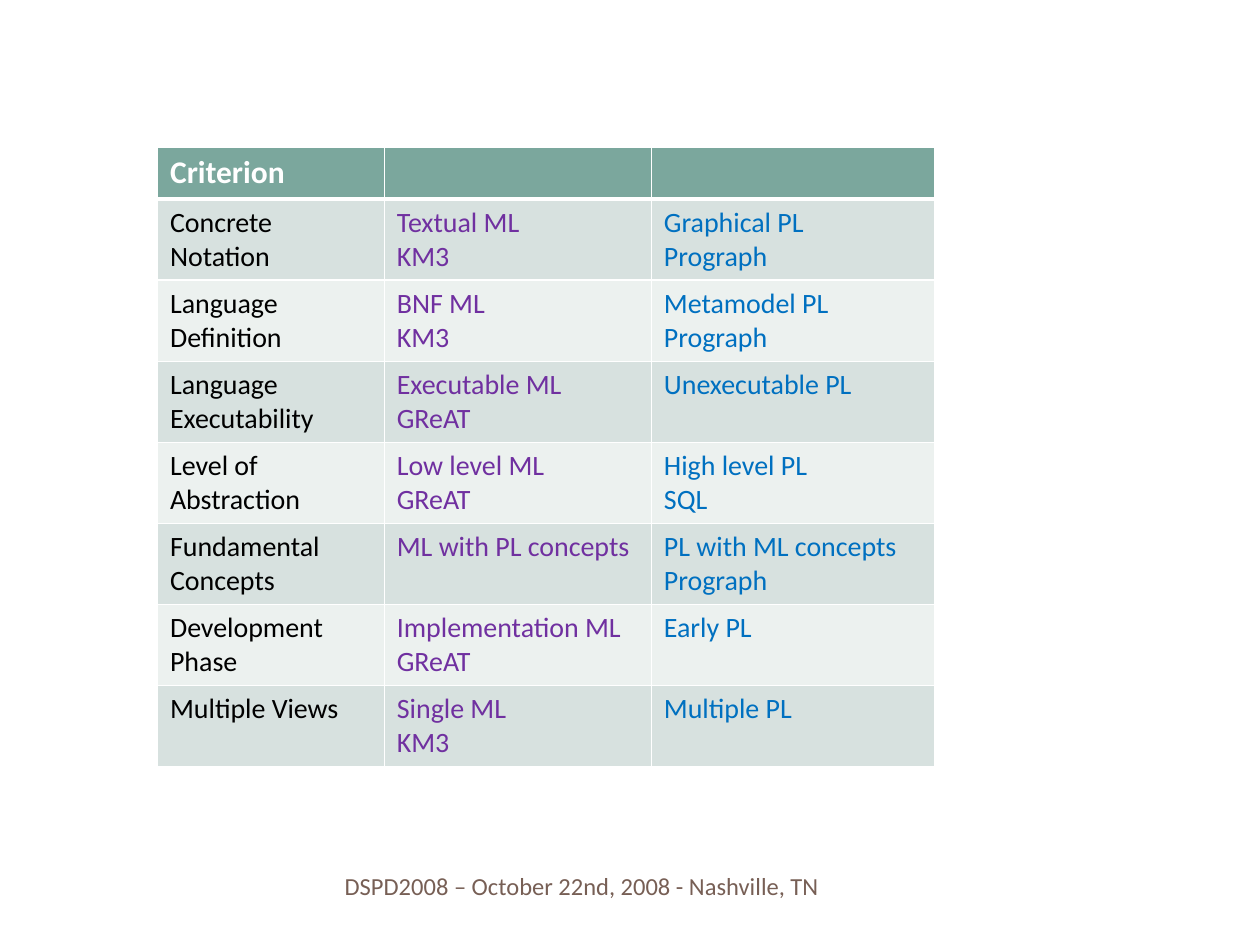
from dataclasses import dataclass

from lxml import etree
from pptx import Presentation
from pptx.dml.color import RGBColor
from pptx.enum.text import MSO_ANCHOR, PP_ALIGN
from pptx.oxml.ns import qn
from pptx.util import Inches, Pt

MIDDLE = MSO_ANCHOR.MIDDLE
RIGHT = PP_ALIGN.RIGHT


@dataclass(frozen=True)
class Theme:
    font: str = "Calibri"
    white: str = "FFFFFF"
    header_fill: str = "7BA79D"
    bands: tuple = ("D7E1DF", "ECF1EF")
    columns: tuple = ("000000", "7030A0", "0070C0")
    footer: str = "775F55"
    header_size: int = 18
    body_size: int = 16
    footer_size: int = 14
    rule: int = 1
    header_rule: int = 3


@dataclass(frozen=True)
class Criterion:
    name: str
    modeling: str
    programming: str


THEME = Theme()
WIDTHS = (1.8, 2.12, 2.25)
HEADER_HEIGHT, ROW_HEIGHT = 0.41, 0.63
CRITERIA = (
    Criterion("Concrete Notation", "Textual ML\nKM3", "Graphical PL\nPrograph"),
    Criterion("Language Definition", "BNF ML\nKM3", "Metamodel PL\nPrograph"),
    Criterion("Language Executability", "Executable ML\nGReAT", "Unexecutable PL"),
    Criterion("Level of Abstraction", "Low level ML\nGReAT", "High level PL\nSQL"),
    Criterion("Fundamental Concepts", "ML with PL concepts", "PL with ML concepts\nPrograph"),
    Criterion("Development Phase", "Implementation ML\nGReAT", "Early PL"),
    Criterion("Multiple Views", "Single ML\nKM3", "Multiple PL"),
)


def set_text(tf, text: str, size: int, color: str, bold: bool = False) -> None:
    """Write text, one paragraph per line, in a single style."""
    tf.text = text
    for p in tf.paragraphs:
        p.font.name = THEME.font
        p.font.size = Pt(size)
        p.font.bold = bold
        p.font.color.rgb = RGBColor.from_string(color)


def set_borders(cell, top: int, bottom: int) -> None:
    """Draw white borders around a cell, with point widths for top and bottom."""
    tc_pr = cell._tc.get_or_add_tcPr()
    widths = {"a:lnL": THEME.rule, "a:lnR": THEME.rule, "a:lnT": top, "a:lnB": bottom}
    for tag, width in widths.items():
        ln = etree.SubElement(tc_pr, qn(tag), w=str(Pt(width)))
        fill = etree.SubElement(ln, qn("a:solidFill"))
        etree.SubElement(fill, qn("a:srgbClr"), val=THEME.white)


def set_fill(cell, color: str) -> None:
    """Fill a cell with one colour."""
    cell.fill.solid()
    cell.fill.fore_color.rgb = RGBColor.from_string(color)


def add_criteria_table(s) -> None:
    """Add the comparison table with its header row and banded body."""
    height = HEADER_HEIGHT + ROW_HEIGHT * len(CRITERIA)
    table = s.shapes.add_table(
        len(CRITERIA) + 1, len(WIDTHS),
        Inches(1.25), Inches(1.17), Inches(sum(WIDTHS)), Inches(height),
    ).table
    for column, width in zip(table.columns, WIDTHS):
        column.width = Inches(width)
    table.rows[0].height = Inches(HEADER_HEIGHT)
    for cell, text in zip(table.rows[0].cells, ("Criterion", "", "")):
        set_text(cell.text_frame, text, THEME.header_size, THEME.white, True)
        set_borders(cell, THEME.rule, THEME.header_rule)
        set_fill(cell, THEME.header_fill)
    for i, item in enumerate(CRITERIA):
        row = table.rows[i + 1]
        row.height = Inches(ROW_HEIGHT)
        texts = (item.name, item.modeling, item.programming)
        for cell, text, color in zip(row.cells, texts, THEME.columns):
            set_text(cell.text_frame, text, THEME.body_size, color)
            set_borders(cell, THEME.rule if i else THEME.header_rule, THEME.rule)
            set_fill(cell, THEME.bands[i % 2])


def add_footer(s, text: str) -> None:
    """Add the right-aligned footer line."""
    tf = s.shapes.add_textbox(Inches(0.67), Inches(6.83), Inches(5.93), Inches(0.4)).text_frame
    tf.word_wrap = True
    tf.vertical_anchor = MIDDLE
    set_text(tf, text, THEME.footer_size, THEME.footer)
    tf.paragraphs[0].alignment = RIGHT


def main() -> None:
    """Build and save the slide."""
    prs = Presentation()
    prs.slide_width, prs.slide_height = Inches(10), Inches(7.5)
    s = prs.slides.add_slide(prs.slide_layouts[6])
    add_criteria_table(s)
    add_footer(s, "DSPD2008 – October 22nd, 2008 - Nashville, TN")
    prs.save("out.pptx")


if __name__ == "__main__":
    main()
